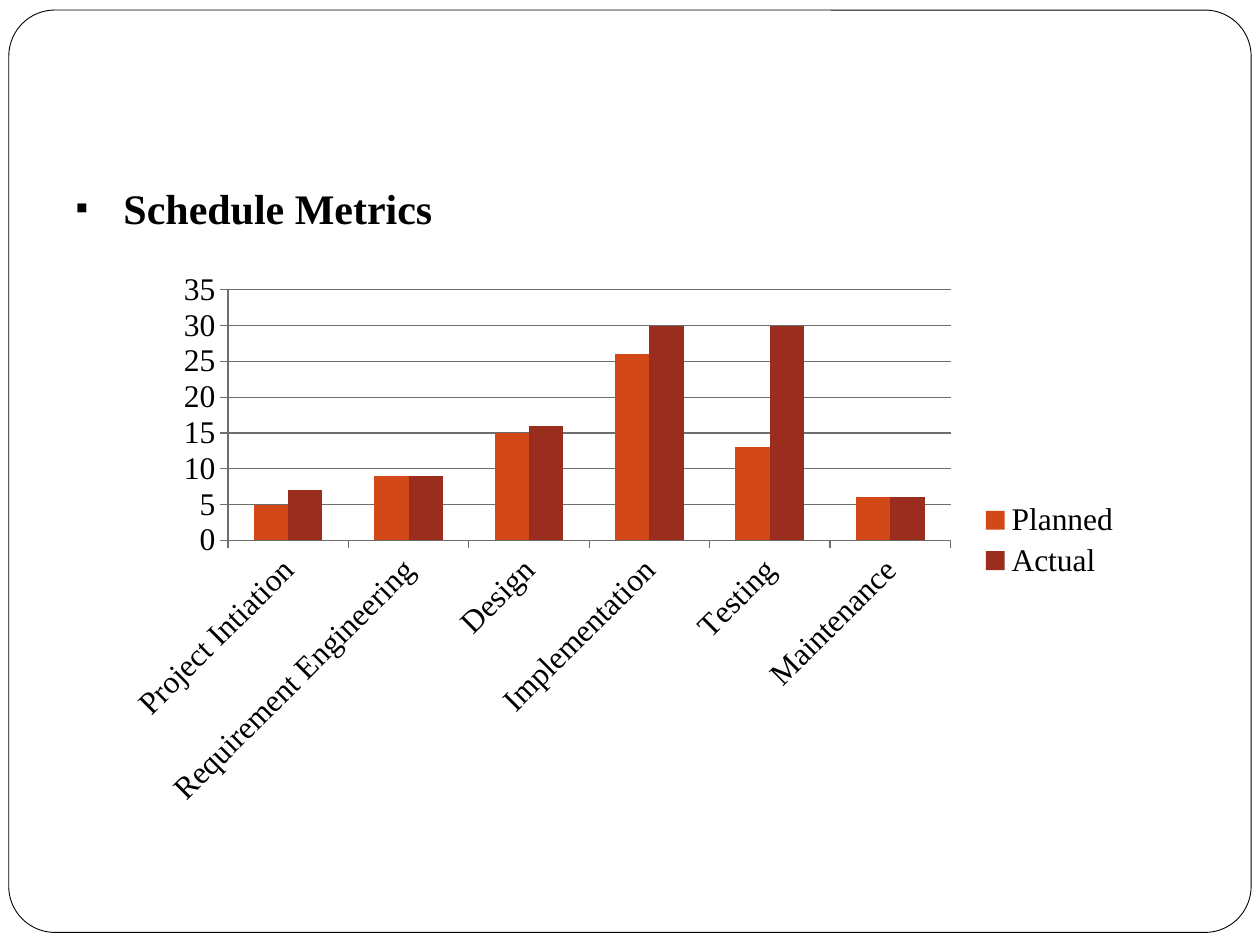
"""Build the schedule metrics slide with a planned versus actual column chart."""
import pptx
import pptx.chart.data
import pptx.dml.color
import pptx.enum.chart
import pptx.enum.shapes
import pptx.enum.text
import pptx.oxml
import pptx.oxml.ns
import pptx.util
from pptx.util import Inches

BLACK = pptx.dml.color.RGBColor(0x00, 0x00, 0x00)
WHITE = pptx.dml.color.RGBColor(0xFF, 0xFF, 0xFF)
GRAY = pptx.dml.color.RGBColor(0x6E, 0x6E, 0x6E)
ORANGE = pptx.dml.color.RGBColor(0xD3, 0x48, 0x17)
RED = pptx.dml.color.RGBColor(0x9B, 0x2D, 0x1F)
FONT = "Times New Roman"

presentation = pptx.Presentation()
presentation.slide_width = Inches(10)
presentation.slide_height = Inches(7.5)
slide = presentation.slides.add_slide(presentation.slide_layouts[5])

frame = slide.shapes.add_shape(
    pptx.enum.shapes.MSO_SHAPE.ROUNDED_RECTANGLE,
    Inches(0.07), Inches(0.08), Inches(9.86), Inches(7.32))
frame.adjustments[0] = 0.05
frame.shadow.inherit = False
frame.fill.solid()
frame.fill.fore_color.rgb = WHITE
frame.line.color.rgb = BLACK
frame.line.width = pptx.util.Pt(0.5)

title = slide.shapes.title
title._element.addprevious(frame._element)
title.left, title.top = Inches(0.5), Inches(1)
title.width, title.height = Inches(9), Inches(0.95)
text_frame = title.text_frame
text_frame.word_wrap = True
text_frame.vertical_anchor = pptx.enum.text.MSO_ANCHOR.BOTTOM
text_frame.margin_bottom = Inches(0.1)
paragraph = text_frame.paragraphs[0]
paragraph.alignment = pptx.enum.text.PP_ALIGN.LEFT
properties = paragraph._p.get_or_add_pPr()
properties.set("marL", str(Inches(0.38)))
properties.set("indent", str(Inches(-0.38)))
for tag, attribute, value in (("buSzPct", "val", "85000"),
                              ("buFont", "typeface", FONT),
                              ("buChar", "char", "▪")):
    bullet = pptx.oxml.parse_xml(
        f'<a:{tag} {pptx.oxml.ns.nsdecls("a")} {attribute}="{value}"/>')
    properties.append(bullet)
run = paragraph.add_run()
run.text = "Schedule Metrics"
run.font.name = FONT
run.font.size = pptx.util.Pt(24)
run.font.bold = True
run.font.color.rgb = BLACK

chart_data = pptx.chart.data.CategoryChartData()
chart_data.categories = ["Project Intiation", "Requirement Engineering", "Design",
                         "Implementation", "Testing", "Maintenance"]
chart_data.add_series("Planned", (5, 9, 15, 26, 13, 6))
chart_data.add_series("Actual", (7, 9, 16, 30, 30, 6))
chart = slide.shapes.add_chart(
    pptx.enum.chart.XL_CHART_TYPE.COLUMN_CLUSTERED,
    Inches(0.92), Inches(2.08), Inches(8.08), Inches(4.42), chart_data).chart
chart.has_title = False
chart.font.name = FONT
chart.font.size = pptx.util.Pt(18)
chart.font.color.rgb = BLACK
chart.has_legend = True
chart.legend.position = pptx.enum.chart.XL_LEGEND_POSITION.RIGHT
chart.legend.include_in_layout = False

plot = chart.plots[0]
plot.gap_width = 150
plot.overlap = 0
plot.vary_by_categories = False
for series, color in zip(plot.series, (ORANGE, RED)):
    series.format.fill.solid()
    series.format.fill.fore_color.rgb = color

for axis in (chart.category_axis, chart.value_axis):
    axis.major_tick_mark = pptx.enum.chart.XL_TICK_MARK.OUTSIDE
    axis.minor_tick_mark = pptx.enum.chart.XL_TICK_MARK.NONE
    axis.format.line.color.rgb = GRAY
    axis.tick_labels.font.size = pptx.util.Pt(18)
chart.value_axis.minimum_scale = 0
chart.value_axis.maximum_scale = 35
chart.value_axis.major_unit = 5
chart.value_axis.has_major_gridlines = True
chart.value_axis.major_gridlines.format.line.color.rgb = GRAY
category_text = chart.category_axis._element.find(pptx.oxml.ns.qn("c:txPr"))
category_text.find(pptx.oxml.ns.qn("a:bodyPr")).set("rot", "-2700000")

plot_area = chart._chartSpace.chart.plotArea
for empty_layout in plot_area.findall(pptx.oxml.ns.qn("c:layout")):
    plot_area.remove(empty_layout)
plot_area.insert(0, pptx.oxml.parse_xml(
    f'<c:layout {pptx.oxml.ns.nsdecls("c")}><c:manualLayout>'
    '<c:layoutTarget val="inner"/><c:xMode val="edge"/><c:yMode val="edge"/>'
    '<c:x val="0.11"/><c:y val="0.05"/><c:w val="0.71"/><c:h val="0.45"/>'
    '</c:manualLayout></c:layout>'))

presentation.save("out.pptx")
